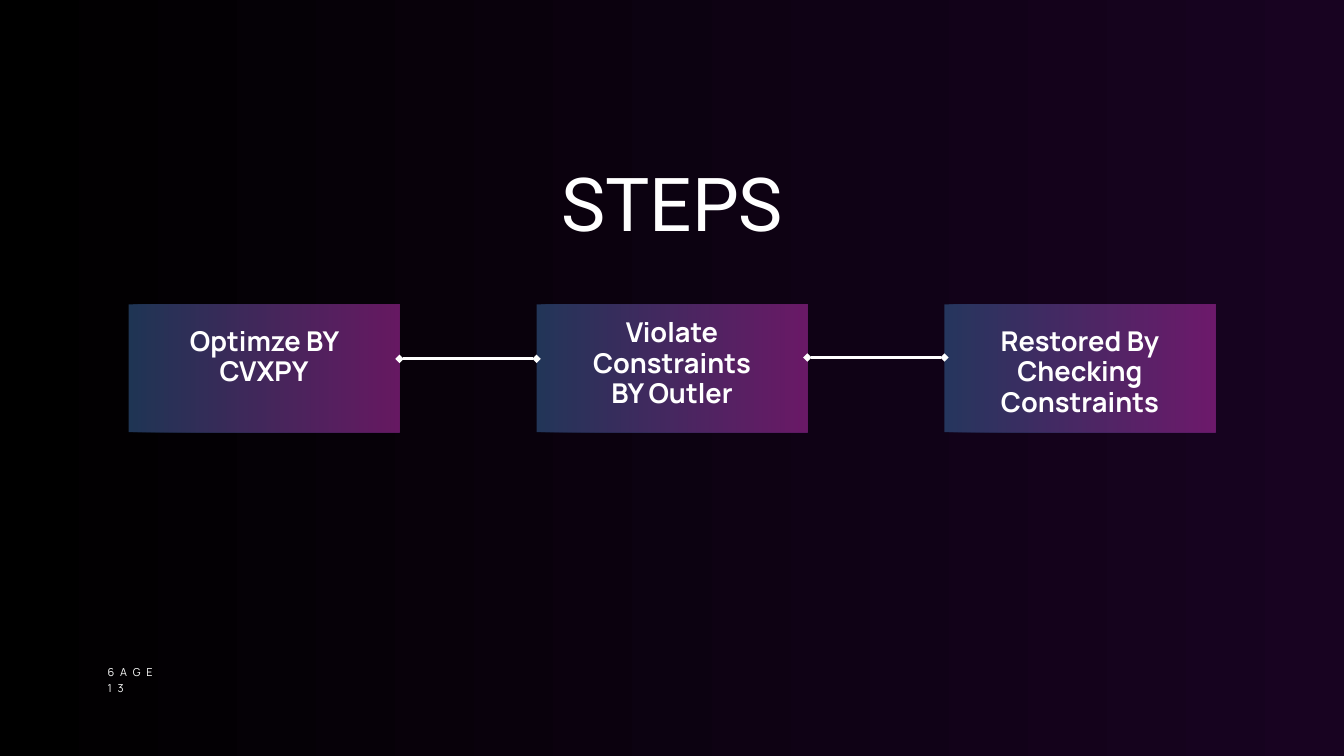
from dataclasses import dataclass

import pptx
import pptx.dml.color
import pptx.enum.shapes
import pptx.enum.text
import pptx.oxml
import pptx.oxml.ns
import pptx.util
from pptx.util import Inches

COLORS = {
    "text": "FFFFFF",
    "bg_start": "000000",
    "bg_end": "180321",
    "card_start": "365E93",
    "card_end": "AF2BA5",
}
SLIDE_W, SLIDE_H = 20, 11.25
CARD_W, CARD_H, CARD_TOP, CARD_PITCH = 4.03, 1.9, 4.53, 6.07
CARD_OPACITY = 56


@dataclass
class TextStyle:
    font: str
    size: float
    leading: float
    bold: bool = False
    centered: bool = True
    tracking: float = 0


@dataclass
class Step:
    lines: list[str]
    text_top: float
    text_w: float
    text_h: float


TITLE = TextStyle("Roboto", 79.7, 86.9)
LABEL = TextStyle("Manrope", 29.2, 32.5, bold=True)
FOOTER = TextStyle("Manrope", 11.7, 16.3, centered=False, tracking=6.3)

STEPS = [
    Step(["Optimze BY CVXPY"], 4.86, 3.36, 0.92),
    Step(["Violate Constraints", "BY Outler"], 4.73, 3.36, 1.37),
    Step(["Restored By Checking Constraints"], 4.86, 3.25, 1.37),
]
LINK_YS = [5.34, 5.32]


def rgb(name: str) -> pptx.dml.color.RGBColor:
    return pptx.dml.color.RGBColor.from_string(COLORS[name])


def set_gradient(fill, start: str, end: str) -> None:
    fill.gradient()
    fill.gradient_angle = 0
    for stop, position, color in zip(fill.gradient_stops, (0, 1), (start, end)):
        stop.position = position
        stop.color.rgb = rgb(color)


def write_text(tf, lines: list[str], style: TextStyle) -> None:
    tf.word_wrap = True
    tf.auto_size = pptx.enum.text.MSO_AUTO_SIZE.NONE
    tf.vertical_anchor = pptx.enum.text.MSO_ANCHOR.TOP
    tf.margin_left = tf.margin_right = tf.margin_top = tf.margin_bottom = 0
    tf.text = "\n".join(lines)
    align = pptx.enum.text.PP_ALIGN
    for p in tf.paragraphs:
        p.alignment = align.CENTER if style.centered else align.LEFT
        p.line_spacing = pptx.util.Pt(style.leading)
        p.space_before = pptx.util.Pt(0)
        p.font.name = style.font
        p.font.size = pptx.util.Pt(style.size)
        p.font.bold = style.bold
        p.font.color.rgb = rgb("text")
        if style.tracking:
            for r in p.runs:
                r.font._element.set("spc", str(round(style.tracking * 100)))


def add_text(s, x: float, y: float, w: float, h: float,
             lines: list[str], style: TextStyle) -> None:
    box = s.shapes.add_textbox(Inches(x), Inches(y), Inches(w), Inches(h))
    write_text(box.text_frame, lines, style)


def add_card(s, x: float) -> None:
    sp = s.shapes.add_shape(
        pptx.enum.shapes.MSO_SHAPE.RECTANGLE,
        Inches(x), Inches(CARD_TOP), Inches(CARD_W), Inches(CARD_H))
    sp.shadow.inherit = False
    sp.line.fill.background()
    set_gradient(sp.fill, "card_start", "card_end")
    for color in sp._element.spPr.iter(pptx.oxml.ns.qn("a:srgbClr")):
        alpha = pptx.oxml.parse_xml(
            f'<a:alpha {pptx.oxml.ns.nsdecls("a")} val="{CARD_OPACITY * 1000}"/>')
        color.append(alpha)


def add_link(s, x1: float, x2: float, y: float) -> None:
    link = s.shapes.add_connector(
        pptx.enum.shapes.MSO_CONNECTOR.STRAIGHT,
        Inches(x1), Inches(y), Inches(x2), Inches(y))
    link.line.color.rgb = rgb("text")
    link.line.width = pptx.util.Pt(3)
    ns = pptx.oxml.ns.nsdecls("a")
    ln = link.line._get_or_add_ln()
    for end in ("headEnd", "tailEnd"):
        ln.append(pptx.oxml.parse_xml(f'<a:{end} {ns} type="diamond"/>'))
    link._element.spPr.append(pptx.oxml.parse_xml(f"<a:effectLst {ns}/>"))


def main() -> None:
    prs = pptx.Presentation()
    prs.slide_width, prs.slide_height = Inches(SLIDE_W), Inches(SLIDE_H)
    s = prs.slides.add_slide(prs.slide_layouts[5])
    set_gradient(s.background.fill, "bg_start", "bg_end")

    title = s.shapes.title
    title.left, title.top = Inches(6.7), Inches(2.46)
    title.width, title.height = Inches(6.61), Inches(1.23)
    write_text(title.text_frame, ["STEPS"], TITLE)

    centers = [SLIDE_W / 2 + (i - 1) * CARD_PITCH for i in range(len(STEPS))]
    for center in centers:
        add_card(s, center - CARD_W / 2)
    for left, right, y in zip(centers, centers[1:], LINK_YS):
        add_link(s, left + CARD_W / 2, right - CARD_W / 2, y)
    for center, step in zip(centers, STEPS):
        add_text(s, center - step.text_w / 2, step.text_top,
                 step.text_w, step.text_h, step.lines, LABEL)

    add_text(s, 1.6, 9.88, 1.45, 0.43, ["6AGE", "13"], FOOTER)
    prs.save("out.pptx")


if __name__ == "__main__":
    main()
